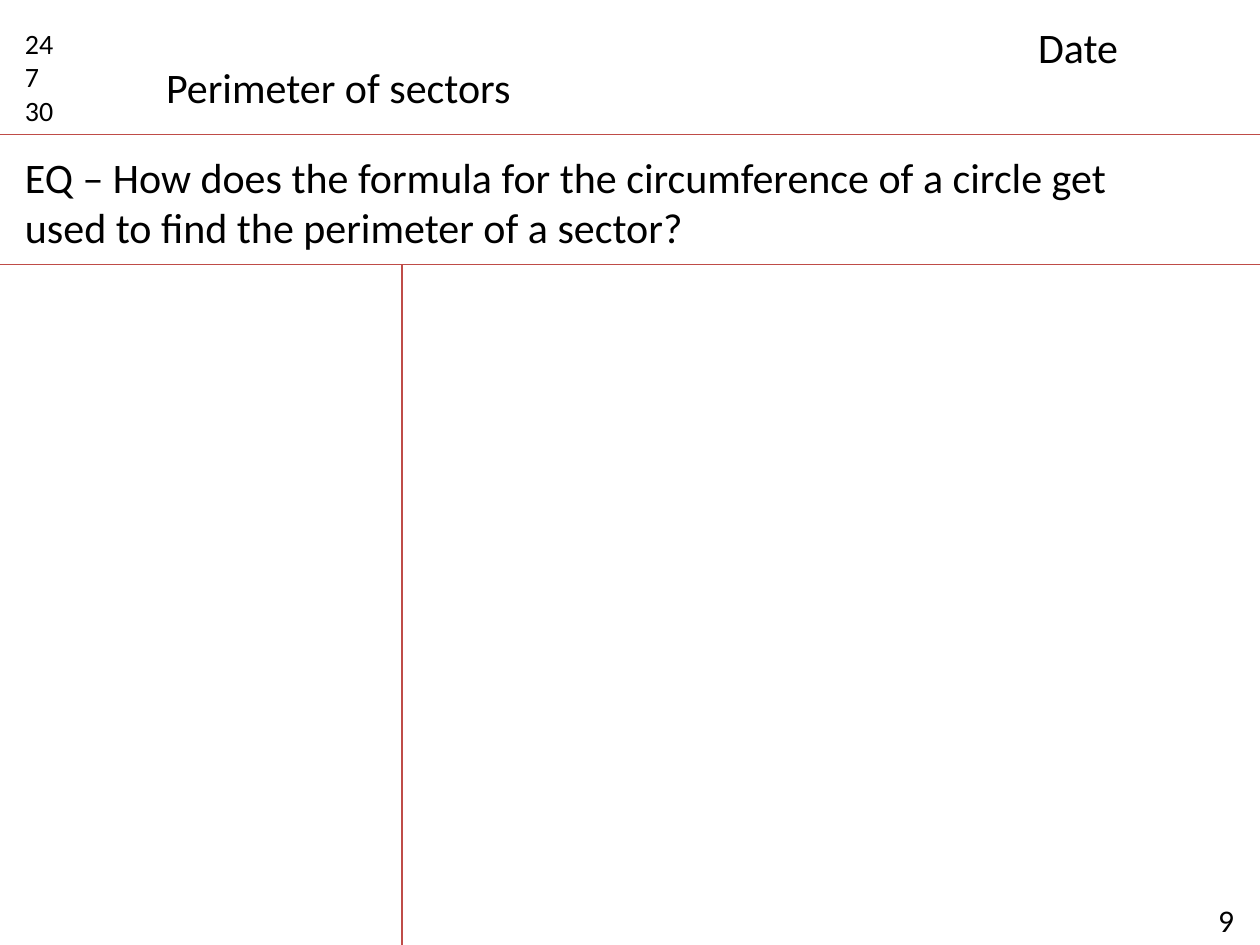
import pptx
import pptx.dml.color
import pptx.enum.shapes
import pptx.enum.text
import pptx.util
from lxml import etree

deck = pptx.Presentation()
deck.slide_width = pptx.util.Inches(10)
deck.slide_height = pptx.util.Inches(7.5)
slide = deck.slides.add_slide(deck.slide_layouts[6])

# Lengths are inches on a 10 by 7.5 page.
PAGE_WIDTH = 10
TITLE_RULE, QUESTION_RULE = 1.07, 2.1
NOTES_MARGIN, NOTES_BOTTOM = 3.19, 7.69
LEFT_EDGE = 0.1


def color(hex_string):
    return pptx.dml.color.RGBColor.from_string(hex_string)


# Ruled lines of the notes page
rules = [
    (0, TITLE_RULE, PAGE_WIDTH, TITLE_RULE),
    (0, QUESTION_RULE, PAGE_WIDTH, QUESTION_RULE),
    (NOTES_MARGIN, QUESTION_RULE, NOTES_MARGIN, NOTES_BOTTOM),
]
for ends in rules:
    rule = slide.shapes.add_connector(
        pptx.enum.shapes.MSO_CONNECTOR.STRAIGHT,
        *[pptx.util.Inches(length) for length in ends])
    rule.line.color.rgb = color("BF4C48")
    rule.line.width = pptx.util.Pt(0.75)
    etree.SubElement(rule.element.spPr, pptx.oxml.ns.qn("a:effectLst"))

# Wording: text, left, top, width, height, size, wrap
question = ("EQ – How does the formula for the circumference of a circle get "
            "used to find the perimeter of a sector?")
entries = [
    ("24\n7\n30", LEFT_EDGE, 0.16, 0.63, 0.91, 16, True),
    ("Perimeter of sectors", 1.22, 0.44, 3.04, 0.5, 24, False),
    ("Date", 8.14, 0.12, 1.73, 0.5, 24, True),
    (question, LEFT_EDGE, 1.15, 9.13, 0.91, 24, True),
    ("9", 9.57, 7.1, 0.6, 0.4, 18, True),
]
for wording, left, top, width, height, size, wrap in entries:
    entry = slide.shapes.add_textbox(
        *[pptx.util.Inches(length) for length in (left, top, width, height)])
    entry.text_frame.word_wrap = wrap
    entry.text_frame.auto_size = pptx.enum.text.MSO_AUTO_SIZE.SHAPE_TO_FIT_TEXT
    entry.text_frame.text = wording
    for paragraph in entry.text_frame.paragraphs:
        for run in paragraph.runs:
            run.font.name = "Calibri"
            run.font.size = pptx.util.Pt(size)
            run.font.color.rgb = color("000000")

deck.save("out.pptx")
